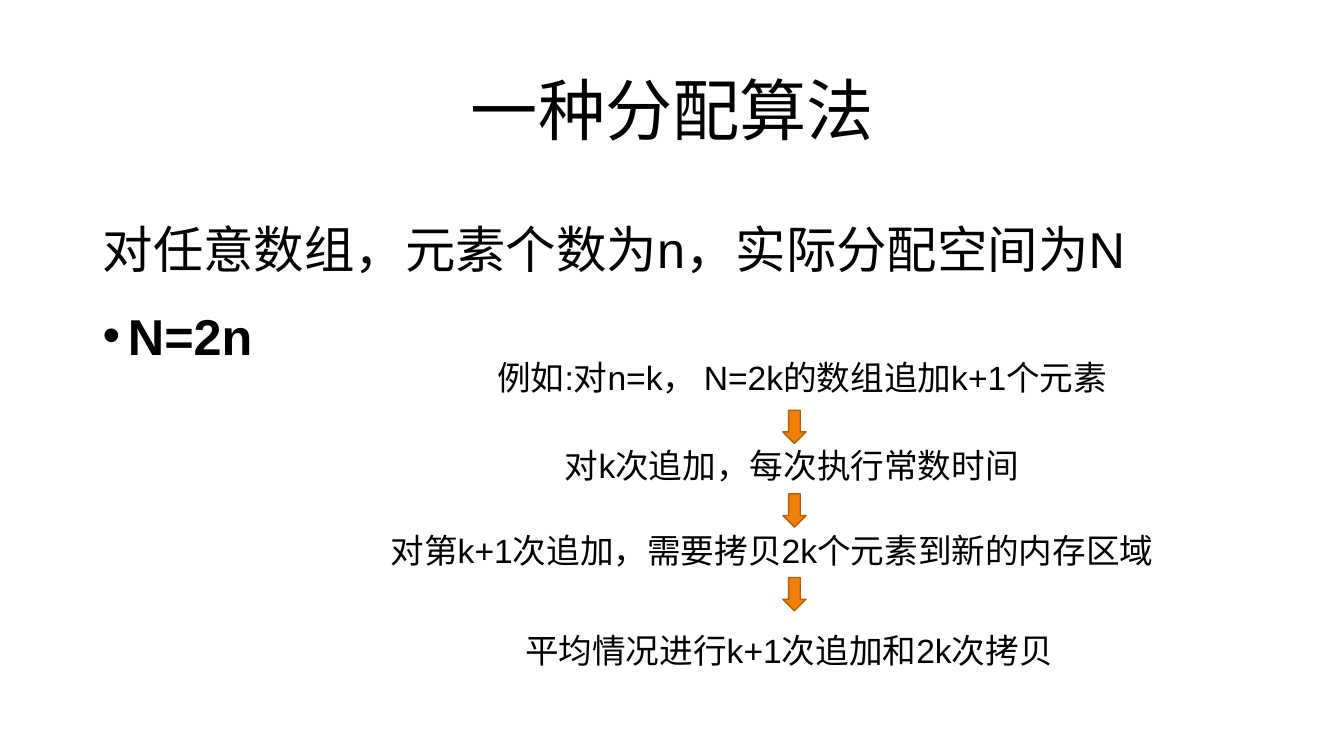
import pptx
import pptx.util
from lxml import etree
from pptx.dml.color import RGBColor
from pptx.enum.shapes import MSO_SHAPE
from pptx.enum.text import MSO_ANCHOR, MSO_AUTO_SIZE, PP_ALIGN
from pptx.oxml.ns import qn

TITLE = "一种分配算法"
PREMISE = "对任意数组，元素个数为n，实际分配空间为N"
RULE = "N=2n"
# Text, centre x, top and width of each step, in inches
STEPS = [
    ("例如:对n=k， N=2k的数组追加k+1个元素", 8.0, 3.49, 6.33),
    ("对k次追加，每次执行常数时间", 7.88, 4.36, 4.75),
    ("对第k+1次追加，需要拷贝2k个元素到新的内存区域", 7.88, 5.21, 8.21),
    ("平均情况进行k+1次追加和2k次拷贝", 7.88, 6.2, 5.54),
]
COLORS = {"text": "000000", "arrow": "F07F09", "outline": "B25E07"}

WIDTH, HEIGHT = 13.33, 7.5
MARGIN = 0.92
CONTENT_WIDTH = 11.5
STEP_HEIGHT = 0.5
ARROW_CENTER, ARROW_TOP, ARROW_PITCH = 7.88, 4.07, 0.83
ARROW_WIDTH, ARROW_HEIGHT = 0.23, 0.33

Inches = pptx.util.Inches
Pt = pptx.util.Pt


def color(name):
    return RGBColor.from_string(COLORS[name])


def add_box(page, left, top, width, height):
    box = page.shapes.add_textbox(*map(Inches, (left, top, width, height)))
    box.text_frame.word_wrap = True
    return box.text_frame


def add_text(para, text, size, font="Arial", bold=False):
    span = para.add_run()
    span.text = text
    span.font.size = Pt(size)
    span.font.name = font
    span.font.bold = bold
    span.font.color.rgb = color("text")


def add_bullet(para, indent):
    properties = para._p.get_or_add_pPr()
    properties.set("marL", str(Inches(indent)))
    properties.set("indent", str(-Inches(indent)))
    etree.SubElement(properties, qn("a:buFont")).set("typeface", "Arial")
    etree.SubElement(properties, qn("a:buChar")).set("char", "•")


def add_heading(page):
    frame = add_box(page, MARGIN, 0.4, CONTENT_WIDTH, 1.45)
    frame.vertical_anchor = MSO_ANCHOR.MIDDLE
    para = frame.paragraphs[0]
    para.alignment = PP_ALIGN.CENTER
    para.line_spacing = 0.9
    add_text(para, TITLE, 48, font="Lato")


def add_body(page):
    frame = add_box(page, MARGIN, 2, CONTENT_WIDTH, 4.76)
    premise = frame.paragraphs[0]
    premise.line_spacing = 1.2
    add_text(premise, PREMISE, 36)
    rule = frame.add_paragraph()
    add_bullet(rule, 0.25)
    rule.line_spacing = 1.2
    rule.space_before = Pt(10)
    add_text(rule, RULE, 36, bold=True)


def add_steps(page):
    for text, center, top, width in STEPS:
        frame = add_box(page, center - width / 2, top, width, STEP_HEIGHT)
        frame.auto_size = MSO_AUTO_SIZE.SHAPE_TO_FIT_TEXT
        add_text(frame.paragraphs[0], text, 24)


def add_arrows(page):
    for index in range(len(STEPS) - 1):
        arrow = page.shapes.add_shape(
            MSO_SHAPE.DOWN_ARROW,
            Inches(ARROW_CENTER - ARROW_WIDTH / 2),
            Inches(ARROW_TOP + index * ARROW_PITCH),
            Inches(ARROW_WIDTH), Inches(ARROW_HEIGHT))
        arrow.shadow.inherit = False
        arrow.fill.solid()
        arrow.fill.fore_color.rgb = color("arrow")
        arrow.line.color.rgb = color("outline")
        arrow.line.width = Pt(1)


def main():
    deck = pptx.Presentation()
    deck.slide_width, deck.slide_height = Inches(WIDTH), Inches(HEIGHT)
    page = deck.slides.add_slide(deck.slide_layouts[6])
    add_heading(page)
    add_body(page)
    add_steps(page)
    add_arrows(page)
    deck.save("out.pptx")


if __name__ == "__main__":
    main()
